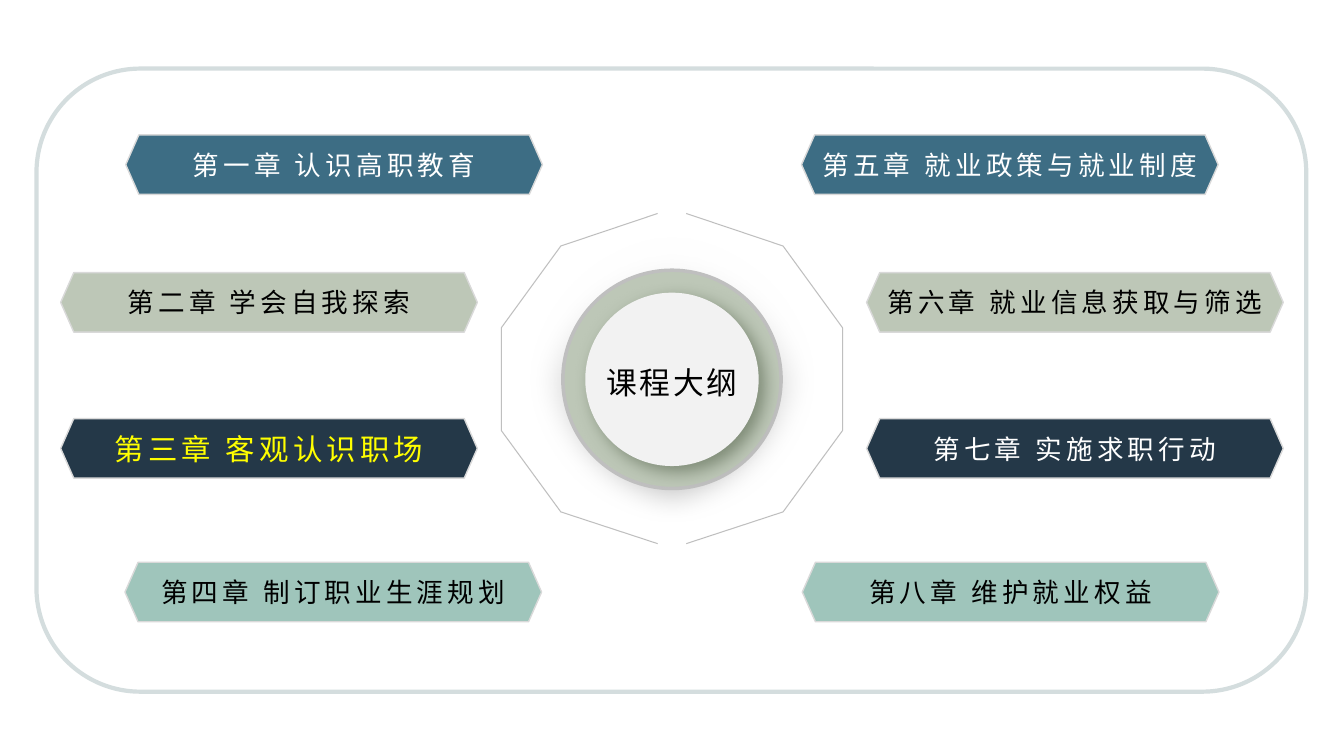
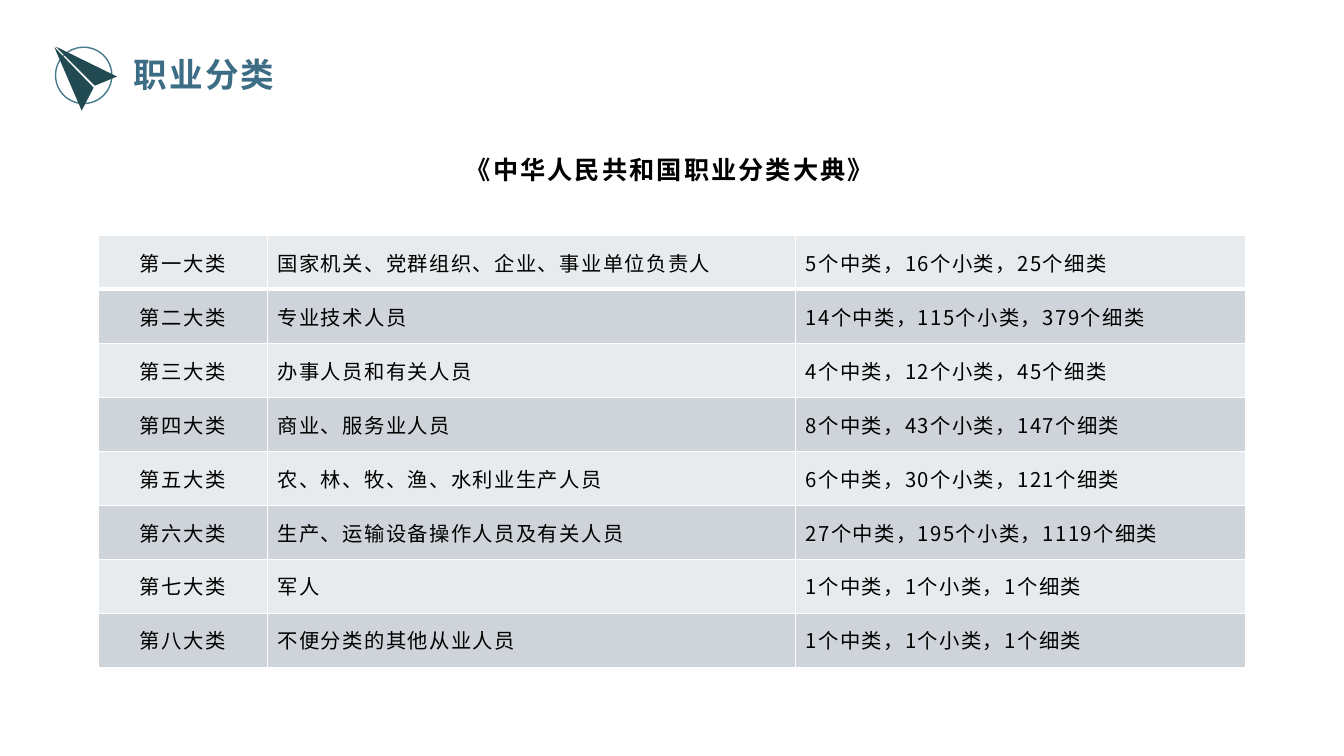
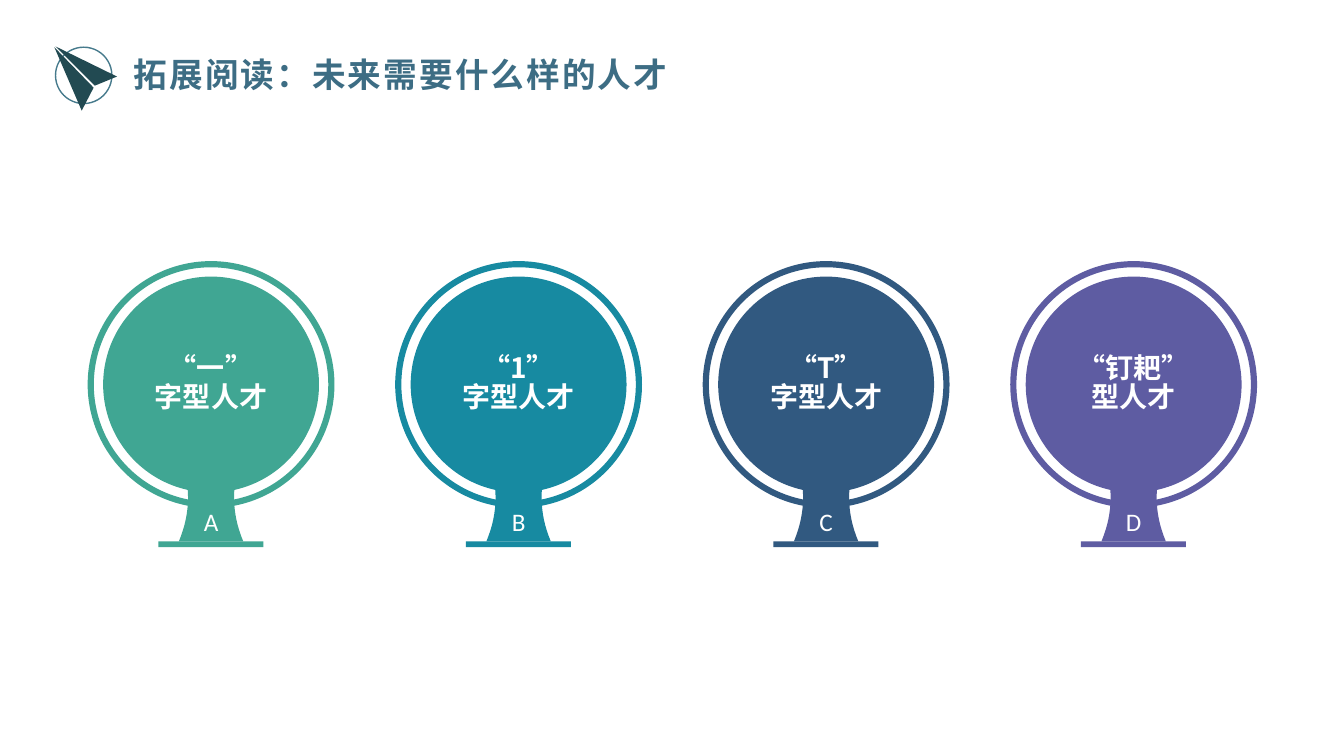
from lxml.etree import SubElement
from pptx import Presentation
from pptx.dml.color import RGBColor
from pptx.enum.shapes import MSO_SHAPE as Form
from pptx.enum.text import MSO_ANCHOR as Anchor, PP_ALIGN as Align
from pptx.oxml.ns import qn
from pptx.util import Cm, Pt

WHITE = RGBColor(0xFF, 0xFF, 0xFF)
BLACK = RGBColor(0x00, 0x00, 0x00)
YELLOW = RGBColor(0xFF, 0xFF, 0x00)
PALE = RGBColor(0xF2, 0xF2, 0xF2)
SILVER = RGBColor(0xD9, 0xD9, 0xD9)
GREY = RGBColor(0xBF, 0xBF, 0xBF)
FRAME = RGBColor(0xD4, 0xDD, 0xDE)
BLUE = RGBColor(0x3D, 0x6D, 0x84)
SAGE = RGBColor(0xBD, 0xC7, 0xB7)
NAVY = RGBColor(0x24, 0x38, 0x48)
MINT = RGBColor(0x9F, 0xC5, 0xBB)
STEEL = RGBColor(0x46, 0x7A, 0x8C)
PINE = RGBColor(0x22, 0x4A, 0x52)
LIGHT = RGBColor(0xE8, 0xEB, 0xED)
DARK = RGBColor(0xCE, 0xD4, 0xD9)
GREEN = RGBColor(0x40, 0xA6, 0x93)
TEAL = RGBColor(0x17, 0x8A, 0xA1)
DENIM = RGBColor(0x31, 0x59, 0x80)
PURPLE = RGBColor(0x5E, 0x5C, 0xA2)
NOTO = "Noto Sans CJK SC"
WIDE, HIGH = 33.87, 19.05
MID = WIDE / 2


def paint(shape, fill=None, line=None, width=1):
    shape.shadow.inherit = False
    if fill is None:
        shape.fill.background()
    else:
        shape.fill.solid()
        shape.fill.fore_color.rgb = fill
    if line is None:
        shape.line.fill.background()
    else:
        shape.line.color.rgb = line
        shape.line.width = Pt(width)


def write(par, text, size, color, bold=False, gap=0, face=NOTO):
    run = par.add_run()
    run.text = text
    font = run.font
    font.size, font.bold, font.name = Pt(size), bold, face
    font.color.rgb = color
    props = run._r.get_or_add_rPr()
    props.set("spc", str(int(gap * 100)))
    SubElement(props, qn("a:ea")).set("typeface", face)


prs = Presentation()
prs.slide_width, prs.slide_height = Cm(WIDE), Cm(HIGH)
layout = prs.slide_layouts[5]

slide = prs.slides.add_slide(layout)
shapes = slide.shapes
disks = []
for size in (7.4, 5.5, 4.37):
    disks.append(shapes.add_shape(
        Form.OVAL, Cm(MID - size / 2), Cm(9.56 - size / 2), Cm(size), Cm(size)))
glow, ring, core = disks
paint(glow, WHITE)
glow.fill.gradient()
glow.fill.gradient_angle = 270
for stop, color in zip(glow.fill.gradient_stops, (WHITE, GREY)):
    stop.color.rgb = color
effects = glow.element.spPr.find(qn("a:effectLst"))
SubElement(effects, qn("a:softEdge")).set("rad", str(Cm(0.7)))
paint(ring, SAGE, GREY, 2.5)
paint(core, PALE)
effects = core.element.spPr.find(qn("a:effectLst"))
shade = SubElement(effects, qn("a:outerShdw"), blurRad=str(Pt(12)),
                   dist=str(Pt(6)), dir="2700000", algn="tl", rotWithShape="0")
tint = SubElement(shade, qn("a:srgbClr"), val="5D6B54")
SubElement(tint, qn("a:alpha"), val="64000")

arc = [(0.36, 5.38), (2.8, 6.2), (4.3, 8.26), (4.3, 10.85), (2.8, 12.9), (0.36, 13.7)]
for side in (1, -1):
    points = [(Cm(MID + side * x), Cm(y)) for x, y in arc]
    pen = shapes.build_freeform(*points[0])
    pen.add_line_segments(points[1:], close=False)
    paint(pen.convert_to_shape(), None, GREY, 0.75)

rows = [
    (3.17, 3.4, BLUE, WHITE, "第一章 认识高职教育", "第五章 就业政策与就业制度"),
    (1.53, 6.87, SAGE, BLACK, "第二章 学会自我探索", "第六章 就业信息获取与筛选"),
    (1.53, 10.55, NAVY, WHITE, "第三章 客观认识职场", "第七章 实施求职行动"),
    (3.15, 14.17, MINT, BLACK, "第四章 制订职业生涯规划", "第八章 维护就业权益"),
]
for inset, top, fill, ink, *names in rows:
    for left, name in zip((inset, WIDE - 10.5 - inset), names):
        banner = shapes.add_shape(Form.HEXAGON, Cm(left), Cm(top), Cm(10.5), Cm(1.5))
        banner.adjustments[0] = 0.22
        paint(banner, fill, SILVER)
        frame = banner.text_frame
        frame.word_wrap = False
        frame.vertical_anchor = Anchor.MIDDLE
        frame.margin_left = frame.margin_right = frame.margin_top = frame.margin_bottom = 0
        par = frame.paragraphs[0]
        par.alignment = Align.CENTER
        now = name.startswith("第三章")
        write(par, name, 21 if now else 19, YELLOW if now else ink, gap=3)

border = shapes.add_shape(Form.ROUNDED_RECTANGLE, Cm(0.92), Cm(1.73), Cm(32), Cm(15.7))
paint(border, None, FRAME, 3)

title = shapes.title
title.left, title.top, title.width, title.height = Cm(14.65), Cm(9.08), Cm(4.57), Cm(1.1)
frame = title.text_frame
frame.word_wrap = False
frame.vertical_anchor = Anchor.MIDDLE
frame.margin_left = frame.margin_right = frame.margin_top = frame.margin_bottom = 0
frame.paragraphs[0].alignment = Align.CENTER
write(frame.paragraphs[0], "课程大纲", 22, BLACK, gap=2)
core.element.getparent().append(title.element)

wings = [
    [(2.95, 1.93), (2.39, 2.16), (1.4, 1.17)],
    [(2.36, 2.21), (2.06, 2.79), (1.37, 1.19)],
]
pages = []
for name in ("职业分类", "拓展阅读：未来需要什么样的人才"):
    slide = prs.slides.add_slide(layout)
    pages.append(slide.shapes)
    title = slide.shapes.title
    title.left, title.top, title.width, title.height = Cm(3.12), Cm(1.24), Cm(16.94), Cm(1.27)
    title.text_frame.vertical_anchor = Anchor.TOP
    par = title.text_frame.paragraphs[0]
    par.alignment = Align.LEFT
    write(par, name, 24, BLUE, True, 1.5)
    orb = slide.shapes.add_shape(Form.OVAL, Cm(1.4), Cm(1.19), Cm(1.42), Cm(1.42))
    paint(orb, None, STEEL)
    first, second = [[(Cm(x), Cm(y)) for x, y in wing] for wing in wings]
    pen = slide.shapes.build_freeform(*first[0])
    pen.add_line_segments(first[1:])
    pen.move_to(*second[0])
    pen.add_line_segments(second[1:])
    paint(pen.convert_to_shape(), PINE)

shapes = pages[0]
box = shapes.add_textbox(Cm(1.85), Cm(3), Cm(30.05), Cm(1.8))
box.text_frame.word_wrap = True
par = box.text_frame.paragraphs[0]
par.alignment = Align.CENTER
par.line_spacing = 2.0
write(par, "《中华人民共和国职业分类大典》", 18, BLACK, True, 1.5)

jobs = [
    ("第一大类", "国家机关、党群组织、企业、事业单位负责人", "5个中类，16个小类，25个细类"),
    ("第二大类", "专业技术人员", "14个中类，115个小类，379个细类"),
    ("第三大类", "办事人员和有关人员", "4个中类，12个小类，45个细类"),
    ("第四大类", "商业、服务业人员", "8个中类，43个小类，147个细类"),
    ("第五大类", "农、林、牧、渔、水利业生产人员", "6个中类，30个小类，121个细类"),
    ("第六大类", "生产、运输设备操作人员及有关人员", "27个中类，195个小类，1119个细类"),
    ("第七大类", "军人", "1个中类，1个小类，1个细类"),
    ("第八大类", "不便分类的其他从业人员", "1个中类，1个小类，1个细类"),
]
widths = (4.27, 13.31, 11.33)
table = shapes.add_table(len(jobs), 3, Cm(2.47), Cm(5.93),
                         Cm(sum(widths)), Cm(1.36 * len(jobs))).table
table.first_row = table.horz_banding = False
for column, width in zip(table.columns, widths):
    column.width = Cm(width)
for i, job in enumerate(jobs):
    table.rows[i].height = Cm(1.36)
    for j, text in enumerate(job):
        cell = table.cell(i, j)
        props = cell._tc.get_or_add_tcPr()
        for edge in ("lnL", "lnR", "lnT", "lnB"):
            thick = (i, edge) in ((0, "lnB"), (1, "lnT"))
            line = SubElement(props, qn("a:" + edge), w=str(Pt(3 if thick else 1)))
            SubElement(SubElement(line, qn("a:solidFill")), qn("a:srgbClr"), val=str(WHITE))
        cell.fill.solid()
        cell.fill.fore_color.rgb = DARK if i % 2 else LIGHT
        cell.vertical_anchor = Anchor.MIDDLE
        par = cell.text_frame.paragraphs[0]
        par.alignment = Align.LEFT if j else Align.CENTER
        write(par, text, 14.5, BLACK, gap=1)

shapes = pages[1]
kinds = [
    ("A", GREEN, "“一”", "字型人才"),
    ("B", TEAL, "“1”", "字型人才"),
    ("C", DENIM, "“T”", "字型人才"),
    ("D", PURPLE, "“钉耙”", "型人才"),
]
steps = [k / 8 for k in range(-8, 9)]
for i, (mark, color, *lines) in enumerate(kinds):
    mid = 5.32 + 7.75 * i
    hoop = shapes.add_shape(Form.DONUT, Cm(mid - 3.11), Cm(6.58), Cm(6.22), Cm(6.22))
    hoop.adjustments[0] = 0.025
    paint(hoop, color)

    edge = [(0.58 + 0.23 * t * t, 12.54 + 1.1 * t) for t in steps]
    points = [(Cm(mid + x), Cm(y)) for x, y in edge]
    points += [(Cm(mid - x), Cm(y)) for x, y in reversed(edge)]
    pen = shapes.build_freeform(*points[0])
    pen.add_line_segments(points[1:])
    stem = pen.convert_to_shape()
    paint(stem, color)
    stem.text_frame.vertical_anchor = Anchor.BOTTOM
    par = stem.text_frame.paragraphs[0]
    par.alignment = Align.CENTER
    write(par, mark, 18, WHITE, face="Calibri")

    disk = shapes.add_shape(Form.OVAL, Cm(mid - 2.72), Cm(6.97), Cm(5.44), Cm(5.44))
    paint(disk, color)
    frame = disk.text_frame
    frame.word_wrap = True
    frame.vertical_anchor = Anchor.MIDDLE
    for n, text in enumerate(lines):
        par = frame.add_paragraph() if n else frame.paragraphs[0]
        par.alignment = Align.CENTER
        par.line_spacing = 0.86
        write(par, text, 20, WHITE, True)

    base = shapes.add_shape(Form.RECTANGLE, Cm(mid - 1.33), Cm(13.64), Cm(2.65), Cm(0.15))
    paint(base, color)

prs.save("out.pptx")
